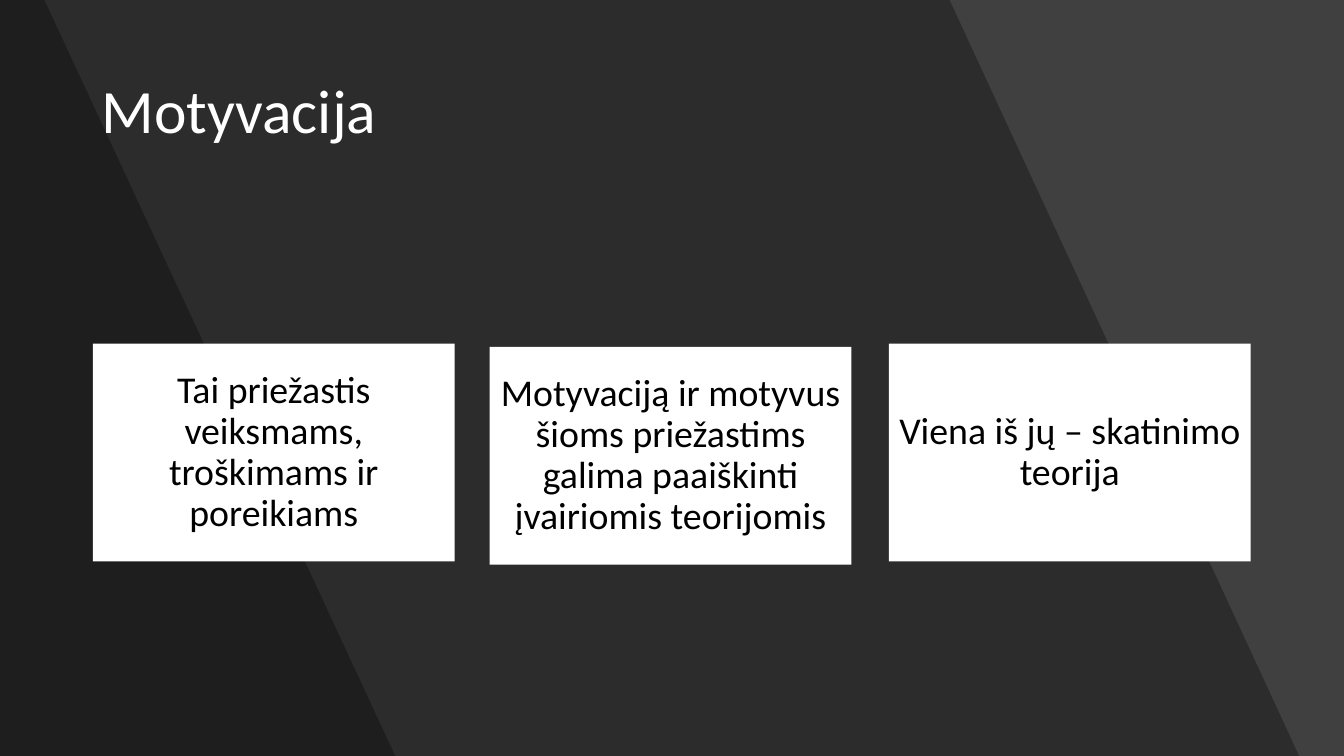
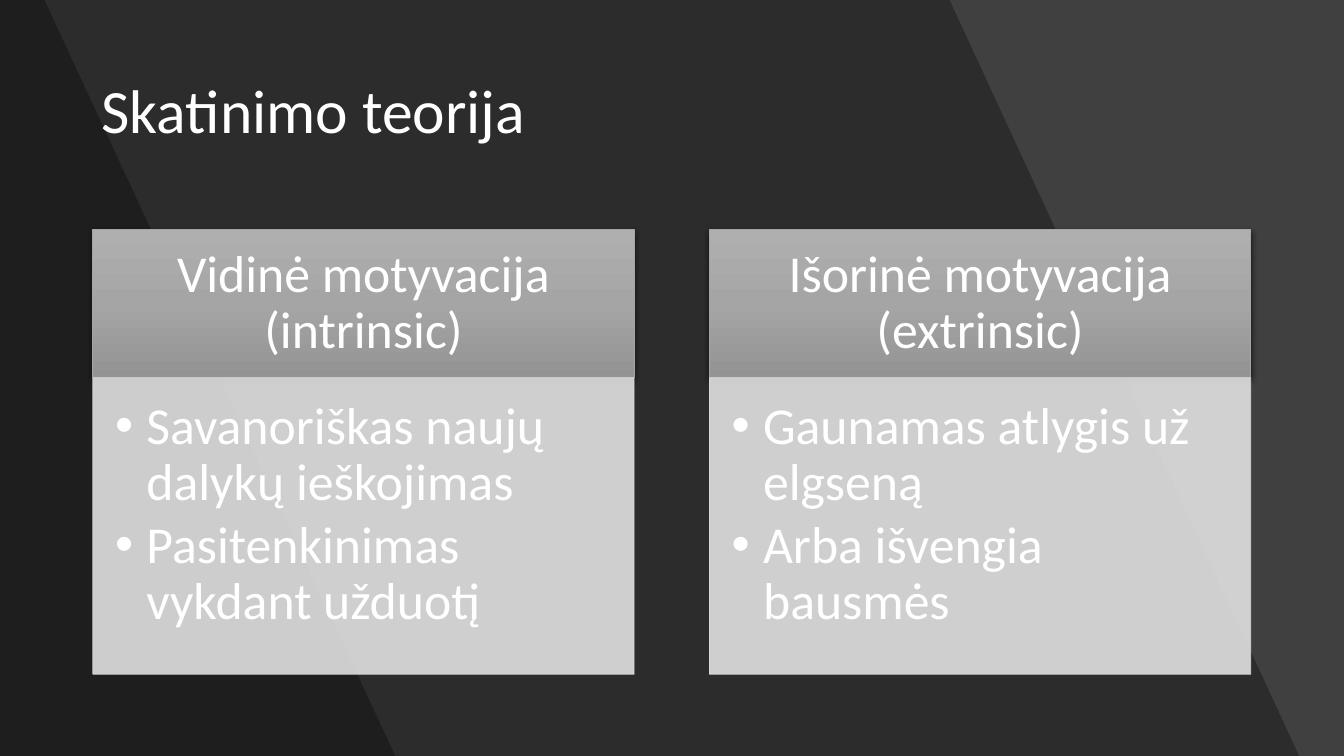
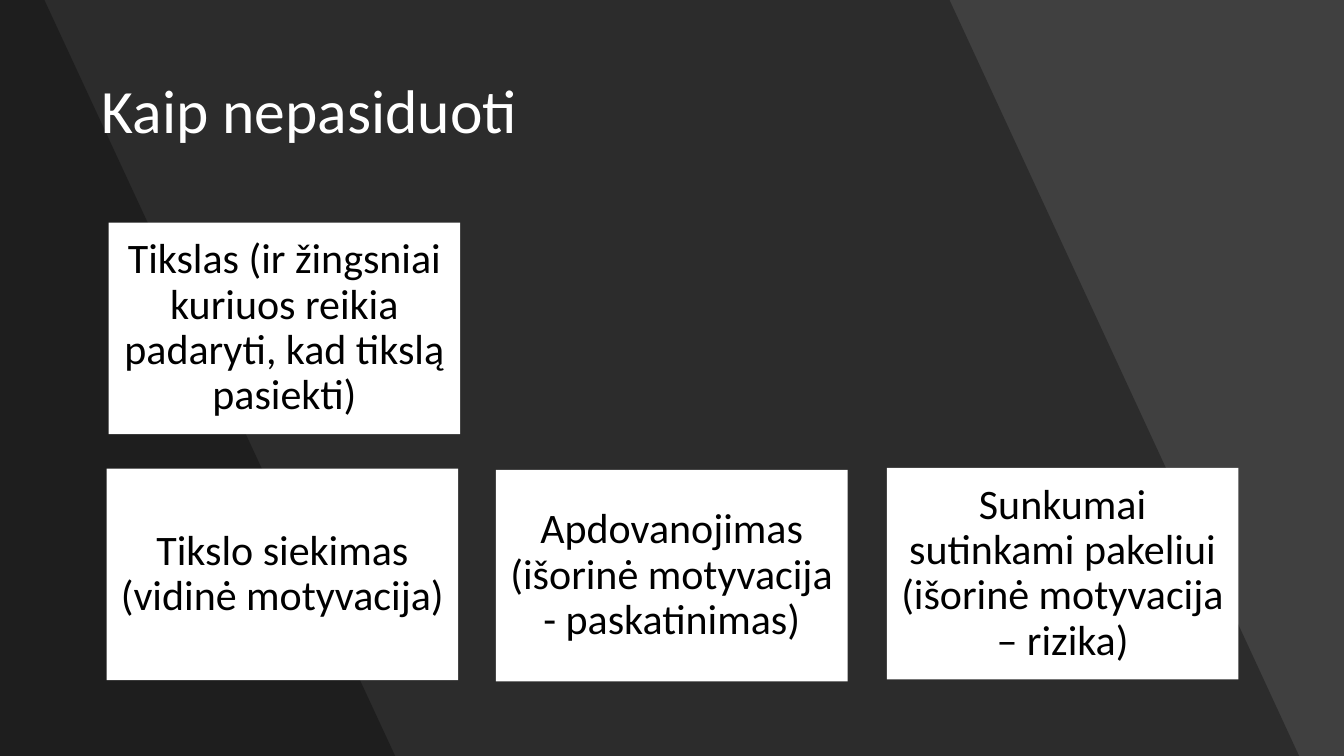
from dataclasses import dataclass
from typing import NamedTuple

from lxml import etree
from pptx import Presentation
from pptx.dml.color import RGBColor
from pptx.enum.shapes import MSO_SHAPE
from pptx.enum.text import MSO_ANCHOR, MSO_AUTO_SIZE, PP_ALIGN
from pptx.oxml.ns import qn
from pptx.util import Cm, Pt

RECTANGLE = MSO_SHAPE.RECTANGLE
MIDDLE, TOP = MSO_ANCHOR.MIDDLE, MSO_ANCHOR.TOP
LEFT, CENTER = PP_ALIGN.LEFT, PP_ALIGN.CENTER
NO_AUTOFIT = MSO_AUTO_SIZE.NONE
TITLE_ONLY_LAYOUT, COMPARISON_LAYOUT = 5, 4


@dataclass(frozen=True)
class Theme:
    font: str = "Calibri"
    background: str = "404040"
    band: str = "000000"
    card: str = "FFFFFF"
    card_text: str = "000000"
    light_text: str = "FFFFFF"
    heading_line: str = "A5A5A5"
    heading_stops: tuple[str, ...] = ("AFAFAF", "A5A5A5", "939393")
    panel: str = "E1E1E1"
    shadow: str = "000000"
    title_size: int = 44
    reason_size: int = 27
    column_size: int = 37
    step_size: int = 30


class Box(NamedTuple):
    left: float
    top: float
    width: float
    height: float


class Insets(NamedTuple):
    left: float
    top: float
    right: float
    bottom: float


class Band(NamedTuple):
    top_edge: float
    bottom_edge: float


class Card(NamedTuple):
    left: float
    top: float
    text: str


class Column(NamedTuple):
    heading: str
    points: tuple[str, ...]


@dataclass(frozen=True)
class CardSlide:
    title: str
    width: float
    height: float
    inset: float
    size: int
    cards: tuple[Card, ...]


THEME = Theme()
SLIDE_WIDTH, SLIDE_HEIGHT = 33.87, 19.05
TITLE_BOX = Box(2.31, 1.02, 29.24, 3.68)
BANDS = (Band(23.93, 32.74), Band(1.12, 9.96))

COLUMN_LEFT, COLUMN_PITCH, COLUMN_WIDTH = 2.34, 15.54, 13.64
HEADING_TOP, HEADING_HEIGHT, PANEL_HEIGHT = 5.79, 3.73, 7.47
HEADING_INSETS = Insets(0.74, 0.41, 0.74, 0.41)
PANEL_INSETS = Insets(0.56, 0.56, 0.74, 0.81)
BULLET_INDENT = 0.79

MOTIVATION = CardSlide("Motyvacija", 9.12, 5.49, 0.25, THEME.reason_size, (
    Card(2.34, 8.66, "Tai priežastis veiksmams, troškimams ir poreikiams"),
    Card(12.34, 8.74, "Motyvaciją ir motyvus šioms priežastims galima paaiškinti įvairiomis teorijomis"),
    Card(22.4, 8.66, "Viena iš jų – skatinimo teorija"),
))
INCENTIVE_TITLE = "Skatinimo teorija"
INCENTIVE_COLUMNS = (
    Column("Vidinė motyvacija (intrinsic)",
           ("Savanoriškas naujų dalykų ieškojimas", "Pasitenkinimas vykdant užduotį")),
    Column("Išorinė motyvacija (extrinsic)",
           ("Gaunamas atlygis už elgseną", "Arba išvengia bausmės")),
)
PERSEVERANCE = CardSlide("Kaip nepasiduoti", 8.86, 5.33, 0.3, THEME.step_size, (
    Card(2.74, 5.61, "Tikslas (ir žingsniai kuriuos reikia padaryti, kad tikslą pasiekti)"),
    Card(2.69, 11.81, "Tikslo siekimas (vidinė motyvacija)"),
    Card(22.35, 11.79, "Sunkumai sutinkami pakeliui (išorinė motyvacija – rizika)"),
    Card(12.5, 11.84, "Apdovanojimas (išorinė motyvacija - paskatinimas)"),
))


def rgb(color: str) -> RGBColor:
    return RGBColor.from_string(color)


def fill_solid(shape, color: str) -> None:
    shape.fill.solid()
    shape.fill.fore_color.rgb = rgb(color)


def outline(shape, color: str) -> None:
    shape.line.color.rgb = rgb(color)
    shape.line.width = Pt(0.5)


def set_opacity(shape, percent: int) -> None:
    for color in shape.element.spPr.iter(qn("a:srgbClr")):
        etree.SubElement(color, qn("a:alpha"), val=str(percent * 1000))


def fill_heading(shape) -> None:
    shape.fill.gradient()
    shape.fill.gradient_angle = 270
    stops = shape.element.spPr.find(".//" + qn("a:gsLst"))
    for stop in list(stops):
        stops.remove(stop)
    step = 100000 // (len(THEME.heading_stops) - 1)
    for number, color in enumerate(THEME.heading_stops):
        stop = etree.SubElement(stops, qn("a:gs"), pos=str(number * step))
        etree.SubElement(stop, qn("a:srgbClr"), val=color)


def add_shadow(shape) -> None:
    shape.shadow.inherit = False
    effects = shape.element.spPr.find(qn("a:effectLst"))
    shadow = etree.SubElement(
        effects, qn("a:outerShdw"), blurRad=str(Pt(4.5)), dist=str(Pt(1.5)),
        dir="5400000", algn="ctr", rotWithShape="0")
    color = etree.SubElement(shadow, qn("a:srgbClr"), val=THEME.shadow)
    etree.SubElement(color, qn("a:alpha"), val="63000")


def place(shape, box: Box) -> None:
    shape.left, shape.top, shape.width, shape.height = map(Cm, box)


def write(shape, paragraphs: tuple[str, ...], size: int, color: str,
          align: PP_ALIGN, anchor: MSO_ANCHOR, insets: Insets) -> None:
    frame = shape.text_frame
    frame.text = "\n".join(paragraphs)
    frame.word_wrap = True
    frame.auto_size = NO_AUTOFIT
    frame.vertical_anchor = anchor
    (frame.margin_left, frame.margin_top,
     frame.margin_right, frame.margin_bottom) = map(Cm, insets)
    for paragraph in frame.paragraphs:
        paragraph.alignment = align
        paragraph.line_spacing = 0.9
        paragraph.space_before = Pt(0)
        paragraph.font.name = THEME.font
        paragraph.font.size = Pt(size)
        paragraph.font.bold = False
        paragraph.font.color.rgb = rgb(color)


def add_titled_slide(prs, layout: int, title: str):
    slide = prs.slides.add_slide(prs.slide_layouts[layout])
    place(slide.shapes.title, TITLE_BOX)
    write(slide.shapes.title, (title,), THEME.title_size, THEME.light_text,
          LEFT, MIDDLE, Insets(0.25, 0.13, 0.25, 0.13))
    return slide


def add_card_slide(prs, content: CardSlide):
    slide = add_titled_slide(prs, TITLE_ONLY_LAYOUT, content.title)
    for card in content.cards:
        box = Box(card.left, card.top, content.width, content.height)
        panel = slide.shapes.add_shape(RECTANGLE, *map(Cm, box))
        panel.shadow.inherit = False
        fill_solid(panel, THEME.card)
        panel.line.fill.background()
        write(panel, (card.text,), content.size, THEME.card_text,
              CENTER, MIDDLE, Insets(*[content.inset] * 4))
    return slide


def add_column(heading, panel, left: float, column: Column) -> None:
    place(heading, Box(left, HEADING_TOP, COLUMN_WIDTH, HEADING_HEIGHT))
    fill_heading(heading)
    outline(heading, THEME.heading_line)
    add_shadow(heading)
    write(heading, (column.heading,), THEME.column_size, THEME.light_text,
          CENTER, MIDDLE, HEADING_INSETS)

    place(panel, Box(left, HEADING_TOP + HEADING_HEIGHT, COLUMN_WIDTH, PANEL_HEIGHT))
    fill_solid(panel, THEME.panel)
    outline(panel, THEME.panel)
    set_opacity(panel, 90)
    write(panel, column.points, THEME.column_size, THEME.light_text,
          LEFT, TOP, PANEL_INSETS)
    for point in panel.text_frame.paragraphs:
        point.space_after = Pt(5)
        properties = point._p.get_or_add_pPr()
        properties.set("marL", str(Cm(BULLET_INDENT)))
        properties.set("indent", str(-Cm(BULLET_INDENT)))


def add_column_slide(prs, title: str, columns: tuple[Column, ...]) -> None:
    slide = add_titled_slide(prs, COMPARISON_LAYOUT, title)
    placeholders = list(slide.placeholders)[1:]
    pairs = zip(placeholders[::2], placeholders[1::2])
    for number, ((heading, panel), column) in enumerate(zip(pairs, columns)):
        add_column(heading, panel, COLUMN_LEFT + number * COLUMN_PITCH, column)


def style_master(prs, drawing_slide) -> None:
    master = prs.slide_master
    master.background.fill.solid()
    master.background.fill.fore_color.rgb = rgb(THEME.background)
    front = master.shapes[0].element
    for number, edges in enumerate(BANDS):
        outline_points = drawing_slide.shapes.build_freeform(0, 0)
        outline_points.add_line_segments((
            (Cm(edges.top_edge), 0),
            (Cm(edges.bottom_edge), Cm(SLIDE_HEIGHT)),
            (0, Cm(SLIDE_HEIGHT)),
        ), close=True)
        band = outline_points.convert_to_shape()
        band.shadow.inherit = False
        fill_solid(band, THEME.band)
        band.line.fill.background()
        set_opacity(band, 30)
        band.element.nvSpPr.cNvPr.set("id", str(101 + number))
        front.addprevious(band.element)


def main() -> None:
    prs = Presentation()
    prs.slide_width, prs.slide_height = Cm(SLIDE_WIDTH), Cm(SLIDE_HEIGHT)
    first_slide = add_card_slide(prs, MOTIVATION)
    style_master(prs, first_slide)
    add_column_slide(prs, INCENTIVE_TITLE, INCENTIVE_COLUMNS)
    add_card_slide(prs, PERSEVERANCE)
    prs.save("out.pptx")


if __name__ == "__main__":
    main()
